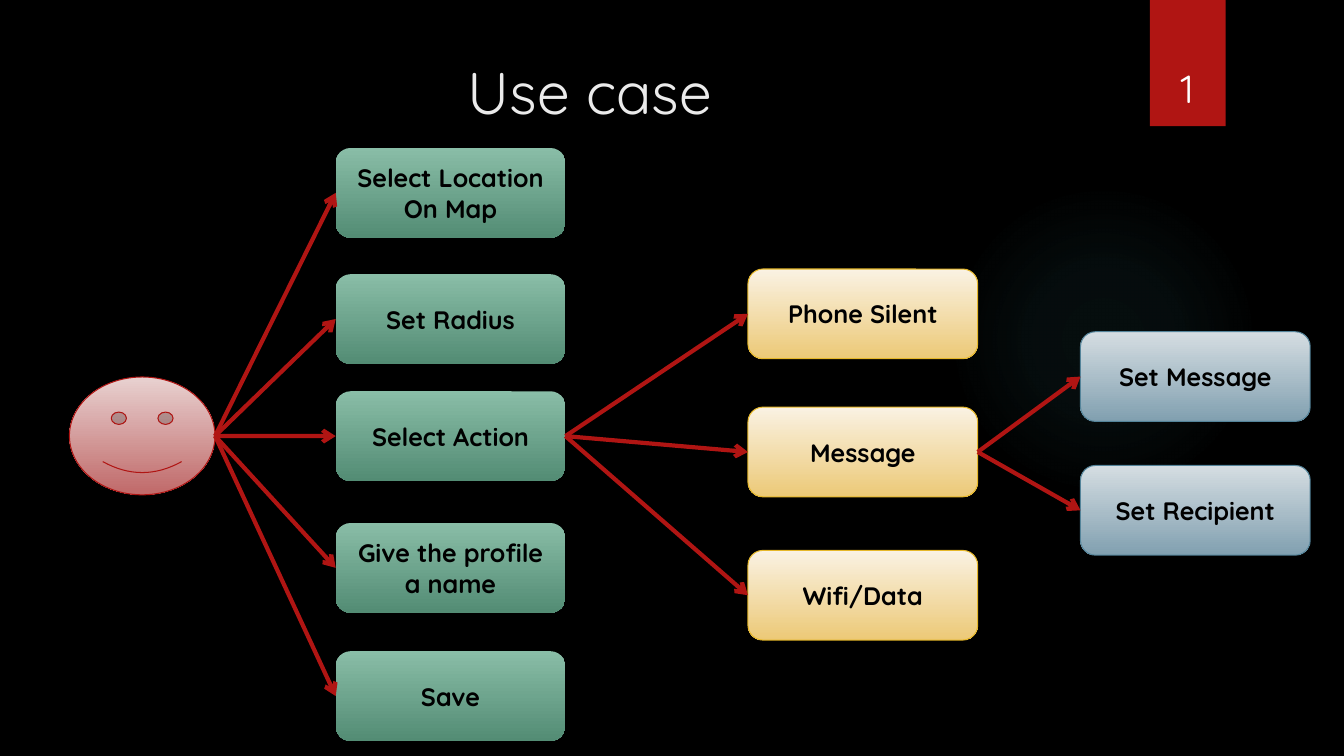
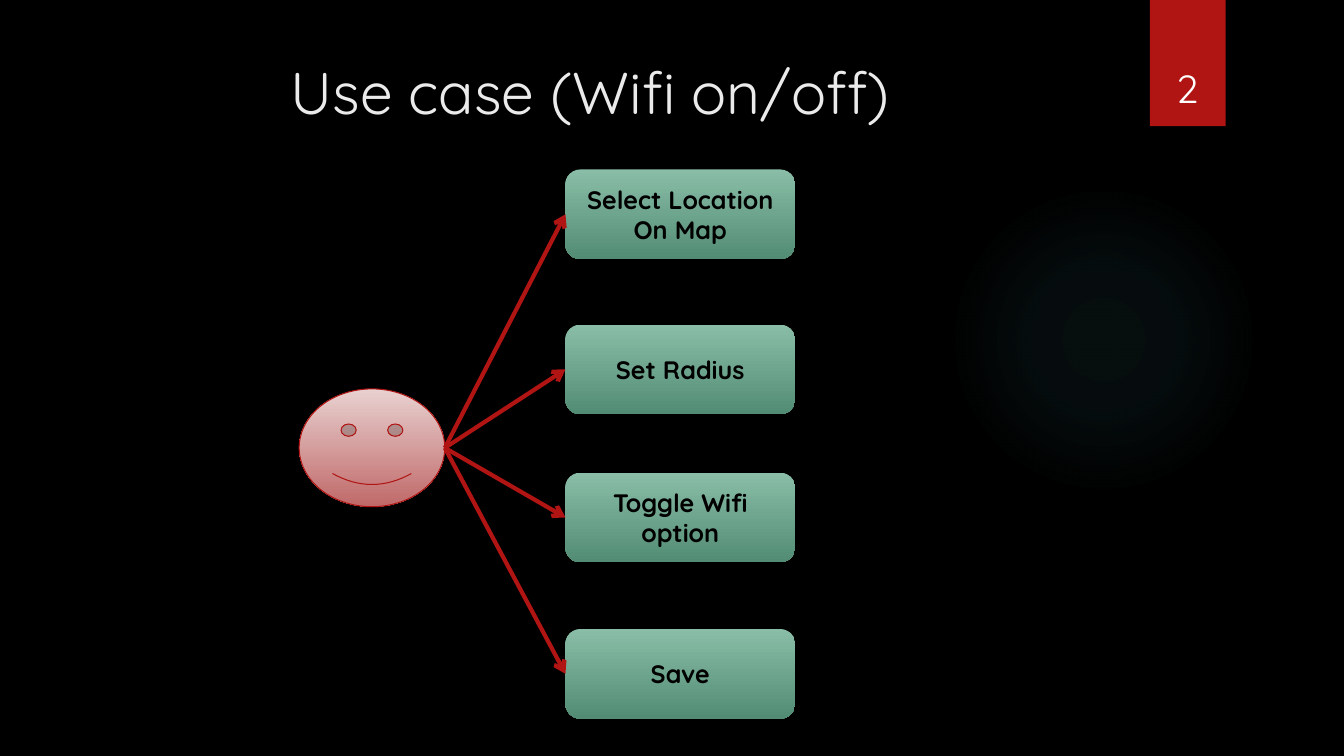
"""Build two dark use case slides with an actor, step boxes and arrows."""
from lxml import etree
from pptx import Presentation
from pptx import oxml
from pptx import util as u
from pptx.dml.color import RGBColor
from pptx.enum import shapes, text
from pptx.oxml import ns

Cm, Pt = u.Cm, u.Pt
KIND, ALIGN, ANCHOR = shapes.MSO_SHAPE, text.PP_ALIGN, text.MSO_ANCHOR

BLACK = RGBColor(0x00, 0x00, 0x00)
WHITE = RGBColor(0xFF, 0xFF, 0xFF)
PALE = RGBColor(0xEB, 0xEB, 0xEB)
RED = RGBColor(0xB0, 0x15, 0x13)
GOLD = RGBColor(0xE6, 0xB7, 0x29)
BLUE = RGBColor(0x54, 0x84, 0x9A)

ROSE_FILL = (RGBColor(0xE8, 0xD1, 0xD0), RGBColor(0xC0, 0x69, 0x69))
GREEN_FILL = (RGBColor(0x89, 0xBD, 0xA7), RGBColor(0x53, 0x8C, 0x74))
GOLD_FILL = (RGBColor(0xFA, 0xF2, 0xE3), RGBColor(0xEC, 0xC9, 0x77))
BLUE_FILL = (RGBColor(0xD5, 0xDD, 0xE2), RGBColor(0x81, 0xA0, 0xB0))

FONT = "Quicksand"
TITLE = {"size": Pt(42), "name": FONT, "bold": False}
NUMBER = {"size": Pt(28), "name": FONT, "bold": False}
LABEL = {"size": Pt(18), "name": FONT, "bold": True}

BOX_W, BOX_H = 5.79, 2.26
FACE_W, FACE_H = 3.67, 2.97

GLOW = (
    f'<a:gradFill {ns.nsdecls("a")}><a:gsLst>'
    + "".join(
        f'<a:gs pos="{pos}000"><a:srgbClr val="50B9C1">'
        f'<a:alpha val="{alpha}000"/></a:srgbClr></a:gs>'
        for pos, alpha in ((0, 7), (36, 6), (69, 0))
    )
    + '</a:gsLst><a:path path="circle">'
    '<a:fillToRect l="50000" t="50000" r="50000" b="50000"/>'
    "</a:path></a:gradFill>"
)

SLIDES = [
    {
        "title": "Use case",
        "face": (1.75, 9.5),
        "groups": [
            ("face", 8.46, GREEN_FILL, None, [
                (3.73, "Select Location On Map"),
                (6.91, "Set Radius"),
                (9.86, "Select Action"),
                (13.18, "Give the profile a name"),
                (16.41, "Save"),
            ]),
            ("Select Action", 18.85, GOLD_FILL, GOLD, [
                (6.78, "Phone Silent"),
                (10.26, "Message"),
                (13.87, "Wifi/Data"),
            ]),
            ("Message", 27.23, BLUE_FILL, BLUE, [
                (8.36, "Set Message"),
                (11.73, "Set Recipient"),
            ]),
        ],
    },
    {
        "title": "Use case (Wifi on/off)",
        "face": (7.54, 9.8),
        "groups": [
            ("face", 14.25, GREEN_FILL, None, [
                (4.27, "Select Location On Map"),
                (8.18, "Set Radius"),
                (11.91, "Toggle Wifi option"),
                (15.85, "Save"),
            ]),
        ],
    },
]


def draw(slide, kind, area, fill=None, edge=None):
    """Add a shape with a flat, two-tone or empty fill and an optional edge."""
    shape = slide.shapes.add_shape(kind, *map(Cm, area))
    shape.shadow.inherit = False
    if isinstance(fill, RGBColor):
        shape.fill.solid()
        shape.fill.fore_color.rgb = fill
    elif fill:
        shape.fill.gradient()
        shape.fill.gradient_angle = 270
        for stop, tone in zip(shape.fill.gradient_stops, fill):
            stop.color.rgb = tone
    else:
        shape.fill.background()
    if edge:
        shape.line.color.rgb = edge
        shape.line.width = Pt(0.75)
    else:
        shape.line.fill.background()
    return shape


def write(shape, words, form, color, anchor):
    """Put one centred line of formatted text into a shape."""
    frame = shape.text_frame
    frame.word_wrap = True
    frame.vertical_anchor = anchor
    para = frame.paragraphs[0]
    para.alignment = ALIGN.CENTER
    run = para.add_run()
    run.text = words
    for key, value in form.items():
        setattr(run.font, key, value)
    run.font.color.rgb = color


deck = Presentation()
deck.slide_width, deck.slide_height = Cm(33.87), Cm(19.05)

for count, page in enumerate(SLIDES, 1):
    slide = deck.slides.add_slide(deck.slide_layouts[6])
    slide.background.fill.solid()
    slide.background.fill.fore_color.rgb = BLACK

    glow = draw(slide, KIND.OVAL, (23.9, 4.65, 7.82, 7.82))
    props = glow.element.spPr
    props.replace(props.find(ns.qn("a:noFill")), oxml.parse_xml(GLOW))

    draw(slide, KIND.RECTANGLE, (28.98, 0, 1.91, 3.18), RED)
    for area, words, form, color, anchor in (
        ((28.75, 0.81, 2.34, 2.13), str(count), NUMBER, WHITE, ANCHOR.BOTTOM),
        ((1.8, 1.27, 26.14, 3.89), page["title"], TITLE, PALE, ANCHOR.TOP),
    ):
        box = slide.shapes.add_textbox(*map(Cm, area))
        write(box, words, form, color, anchor)

    face = draw(slide, KIND.SMILEY_FACE, (*page["face"], FACE_W, FACE_H), ROSE_FILL, RED)
    nodes = {"face": face}

    for hub, left, fill, edge, rows in page["groups"]:
        start = nodes[hub]
        for top, words in rows:
            area = (left, top, BOX_W, BOX_H)
            step = draw(slide, KIND.ROUNDED_RECTANGLE, area, fill, edge)
            write(step, words, LABEL, BLACK, ANCHOR.MIDDLE)
            nodes[words] = step

            arrow = slide.shapes.add_connector(
                shapes.MSO_CONNECTOR.STRAIGHT,
                start.left + start.width, start.top + start.height // 2,
                step.left, step.top + step.height // 2,
            )
            if start is not face:
                arrow.begin_connect(start, 3)
            arrow.end_connect(step, 1)
            arrow.line.color.rgb = RED
            arrow.line.width = Pt(3)
            tail = etree.SubElement(arrow.line._get_or_add_ln(), ns.qn("a:tailEnd"))
            tail.set("type", "arrow")
            etree.SubElement(arrow.element.spPr, ns.qn("a:effectLst"))

deck.save("out.pptx")
